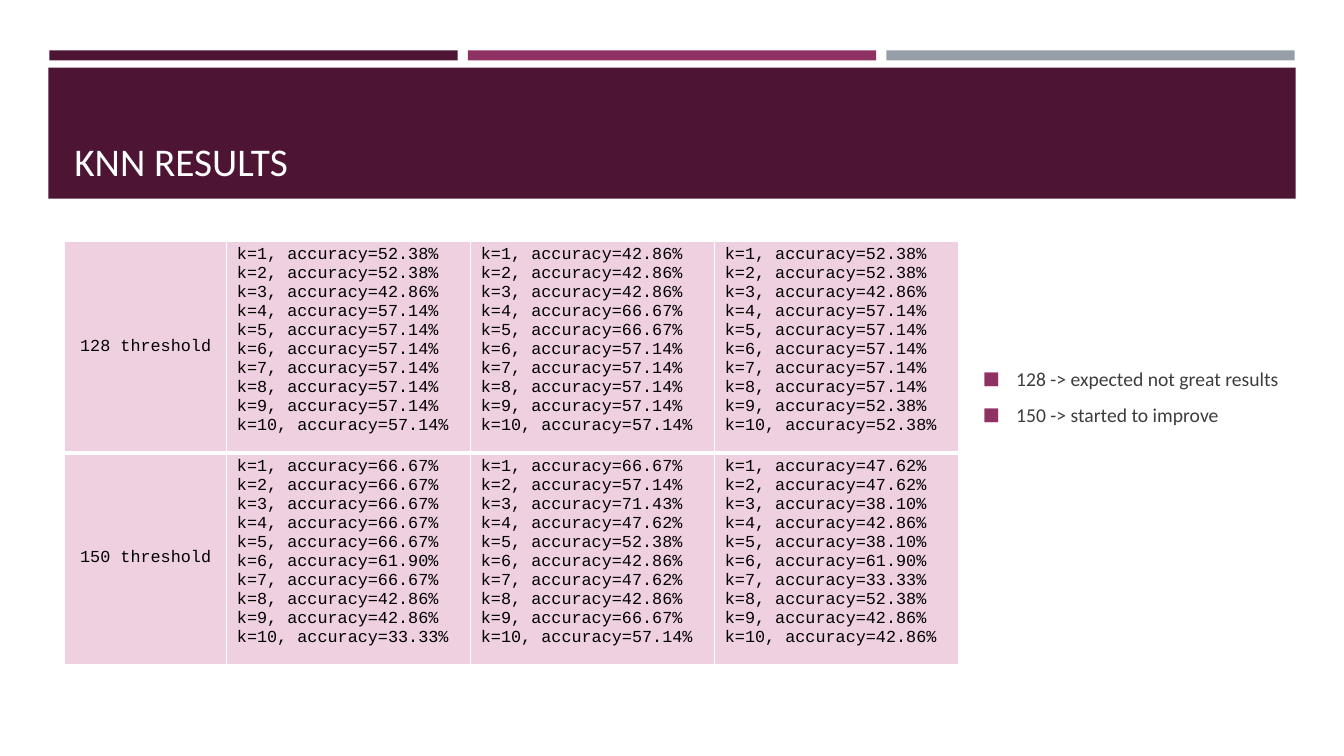
from lxml.etree import SubElement
from pptx import Presentation
from pptx.dml.color import RGBColor
from pptx.enum.shapes import MSO_SHAPE
from pptx.enum.text import MSO_ANCHOR, PP_ALIGN
from pptx.oxml.ns import qn
from pptx.util import Inches, Pt

PLUM = "4D1434"
MAGENTA = "903163"
GRAY = "969FA7"
PINK = "EFD0E0"
WHITE = "FFFFFF"


def color(hex_string):
    return RGBColor.from_string(hex_string)


def write_text(frame, text, font="Calibri", size=14, fill="000000",
               align=PP_ALIGN.LEFT, before=0, after=0, bullet=None):
    frame.word_wrap = True
    for index, line in enumerate(text.split("\n")):
        paragraph = frame.paragraphs[0] if index == 0 else frame.add_paragraph()
        paragraph.alignment = align
        paragraph.space_before = Pt(before)
        paragraph.space_after = Pt(after)
        run = paragraph.add_run()
        run.text = line
        run.font.name = font
        run.font.size = Pt(size)
        run.font.color.rgb = color(fill)
        if bullet:
            properties = paragraph._p.get_or_add_pPr()
            properties.set("marL", str(Inches(0.33)))
            properties.set("indent", str(-Inches(0.33)))
            bullet_color = SubElement(properties, qn("a:buClr"))
            SubElement(bullet_color, qn("a:srgbClr"), val=bullet)
            SubElement(properties, qn("a:buSzPct"), val="92000")
            SubElement(properties, qn("a:buFont"), typeface="Calibri")
            SubElement(properties, qn("a:buChar"), char="■")


presentation = Presentation()
presentation.slide_width = Inches(13.33)
presentation.slide_height = Inches(7.5)
slide = presentation.slides.add_slide(presentation.slide_layouts[6])

bands = [(0.49 + 4.15 * index, 0.5, 4.05, 0.1, fill)
         for index, fill in enumerate([PLUM, MAGENTA, GRAY])]
bands.append((0.48, 0.67, 12.37, 1.3, PLUM))
for left, top, width, height, fill in bands:
    band = slide.shapes.add_shape(MSO_SHAPE.RECTANGLE, Inches(left), Inches(top),
                                  Inches(width), Inches(height))
    band.shadow.inherit = False
    band.fill.solid()
    band.fill.fore_color.rgb = color(fill)
    band.line.fill.background()

title = slide.shapes.add_textbox(Inches(0.64), Inches(0.77), Inches(12.06), Inches(1.11))
title.text_frame.vertical_anchor = MSO_ANCHOR.BOTTOM
write_text(title.text_frame, "KNN RESULTS", size=28, fill=WHITE)

results = [
    ("128 threshold", [
        "52.38 52.38 42.86 57.14 57.14 57.14 57.14 57.14 57.14 57.14",
        "42.86 42.86 42.86 66.67 66.67 57.14 57.14 57.14 57.14 57.14",
        "52.38 52.38 42.86 57.14 57.14 57.14 57.14 57.14 52.38 52.38",
    ]),
    ("150 threshold", [
        "66.67 66.67 66.67 66.67 66.67 61.90 66.67 42.86 42.86 33.33",
        "66.67 57.14 71.43 47.62 52.38 42.86 47.62 42.86 66.67 57.14",
        "47.62 47.62 38.10 42.86 38.10 61.90 33.33 52.38 42.86 42.86",
    ]),
]
table = slide.shapes.add_table(2, 4, Inches(0.64), Inches(2.39),
                               Inches(8.87), Inches(3.96)).table
table.first_row = False
table.horz_banding = False
for column, width in zip(table.columns, [1.61, 2.42, 2.42, 2.42]):
    column.width = Inches(width)

for row_index, (threshold, runs) in enumerate(results):
    table.rows[row_index].height = Inches(1.98)
    accuracies = ["\n".join(f"k={k}, accuracy={value}%"
                            for k, value in enumerate(values.split(), 1))
                  for values in runs]
    for column_index, text in enumerate([threshold] + accuracies):
        cell = table.cell(row_index, column_index)
        is_label = column_index == 0
        cell.vertical_anchor = MSO_ANCHOR.MIDDLE if is_label else MSO_ANCHOR.TOP
        write_text(cell.text_frame, text, font="Courier New", size=12,
                   align=PP_ALIGN.CENTER if is_label else PP_ALIGN.LEFT)
        top_width, bottom_width = (1, 3) if row_index == 0 else (3, 1)
        borders = {"a:lnL": 1, "a:lnR": 1, "a:lnT": top_width, "a:lnB": bottom_width}
        for tag, width in borders.items():
            border = SubElement(cell._tc.get_or_add_tcPr(), qn(tag), w=str(Pt(width)))
            border_fill = SubElement(border, qn("a:solidFill"))
            SubElement(border_fill, qn("a:srgbClr"), val=WHITE)
        cell.fill.solid()
        cell.fill.fore_color.rgb = color(PINK)

remarks = slide.shapes.add_textbox(Inches(9.65), Inches(2.71), Inches(3.27), Inches(2.45))
remarks.text_frame.vertical_anchor = MSO_ANCHOR.MIDDLE
write_text(remarks.text_frame,
           "128 -> expected not great results\n150 -> started to improve",
           fill="3D3D3D", before=2.8, after=6, bullet=MAGENTA)

presentation.save("out.pptx")
